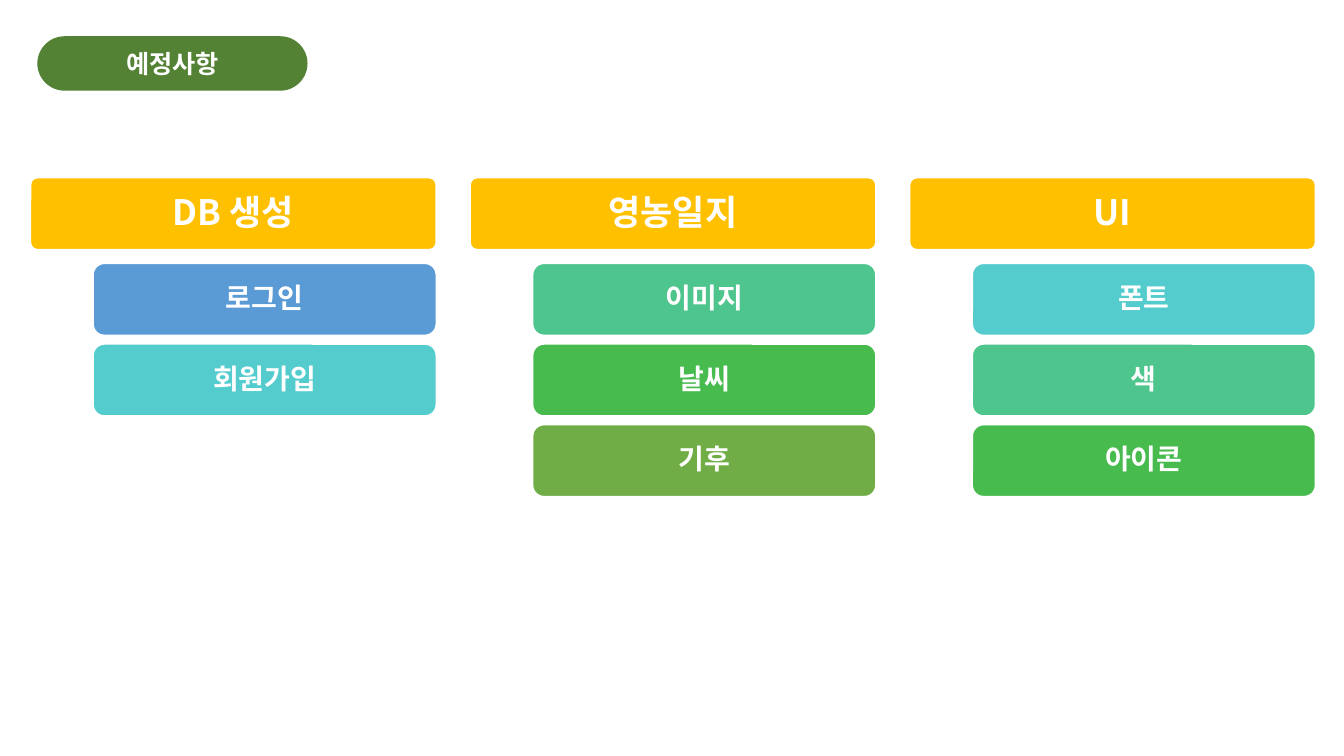
import pptx
import pptx.dml.color
import pptx.enum.shapes
import pptx.enum.text
import pptx.oxml
import pptx.oxml.ns
import pptx.util

SLIDE_WIDTH, SLIDE_HEIGHT = 13.33, 7.5
FONT = "Noto Sans CJK KR"
COLORS = {
    "white": "FFFFFF", "forest": "548235", "gold": "FFC000", "blue": "5B9BD5",
    "aqua": "54CCCD", "mint": "4DC58D", "green": "48BB4F", "olive": "70AD47",
}

COLUMN_LEFT, COLUMN_STEP, COLUMN_WIDTH = 0.3, 4.36, 4.03
TASK_INDENT = 0.62
HEADER_TOP, TASK_TOP, TASK_STEP, ROW_HEIGHT = 1.76, 2.61, 0.8, 0.72
TITLE_BOX = (0.37, 0.36, 2.68, 0.54)

HEADER = {"size": 25, "corner": 0.1, "margins": (0.07, 0.05), "line_spacing": 0.9}
TASK = {"size": 20, "corner": 0.16, "margins": (0.19, 0.19), "line_spacing": 0.9}
TITLE = {"size": 18, "margins": (0.1, 0.05), "line_spacing": 1.0}

PLANS = [
    ("DB 생성", [("로그인", "blue"), ("회원가입", "aqua")]),
    ("영농일지", [("이미지", "mint"), ("날씨", "green"), ("기후", "olive")]),
    ("UI", [("폰트", "aqua"), ("색", "mint"), ("아이콘", "green")]),
]


def rgb(color):
    return pptx.dml.color.RGBColor.from_string(COLORS[color])


def apply(target, values):
    for name, value in values.items():
        setattr(target, name, value)


def write_label(holder, text, style):
    """Centre bold white text, with the font set for Latin and Korean."""
    frame = holder.text_frame
    frame.text = text
    side, edge = (pptx.util.Inches(margin) for margin in style["margins"])
    apply(frame, {
        "margin_left": side, "margin_right": side,
        "margin_top": edge, "margin_bottom": edge,
        "word_wrap": True,
        "auto_size": pptx.enum.text.MSO_AUTO_SIZE.NONE,
        "vertical_anchor": pptx.enum.text.MSO_ANCHOR.MIDDLE,
    })
    paragraph = frame.paragraphs[0]
    apply(paragraph, {
        "alignment": pptx.enum.text.PP_ALIGN.CENTER,
        "line_spacing": style["line_spacing"],
    })
    font = paragraph.runs[0].font
    apply(font, {"name": FONT, "size": pptx.util.Pt(style["size"]), "bold": True})
    font.color.rgb = rgb("white")
    latin = paragraph.runs[0]._r.rPr.find(pptx.oxml.ns.qn("a:latin"))
    latin.addnext(pptx.oxml.parse_xml(
        f'<a:ea {pptx.oxml.ns.nsdecls("a")} typeface="{FONT}"/>'))


def add_rounded(slide, box, color, corner):
    shape = slide.shapes.add_shape(
        pptx.enum.shapes.MSO_SHAPE.ROUNDED_RECTANGLE, *map(pptx.util.Inches, box))
    shape.adjustments[0] = corner
    shape.shadow.inherit = False
    shape.fill.solid()
    shape.fill.fore_color.rgb = rgb(color)
    shape.line.fill.background()
    return shape


def add_card(slide, box, text, color, style):
    card = add_rounded(slide, box, color, style["corner"])
    card.line.color.rgb = rgb("white")
    card.line.width = pptx.util.Pt(1.5)
    write_label(card, text, style)


def add_title(slide, text):
    """Lay the title over a pill."""
    add_rounded(slide, TITLE_BOX, "forest", 0.5)
    title = slide.shapes.title
    lengths = map(pptx.util.Inches, TITLE_BOX)
    apply(title, dict(zip(("left", "top", "width", "height"), lengths)))
    write_label(title, text, TITLE)
    slide.shapes._spTree.append(title._element)


def add_plan(slide, column, heading, tasks):
    left = COLUMN_LEFT + column * COLUMN_STEP
    add_card(slide, (left, HEADER_TOP, COLUMN_WIDTH, ROW_HEIGHT), heading, "gold", HEADER)
    for row, (task, color) in enumerate(tasks):
        box = (left + TASK_INDENT, TASK_TOP + row * TASK_STEP,
               COLUMN_WIDTH - TASK_INDENT, ROW_HEIGHT)
        add_card(slide, box, task, color, TASK)


def main():
    deck = pptx.Presentation()
    deck.slide_width = pptx.util.Inches(SLIDE_WIDTH)
    deck.slide_height = pptx.util.Inches(SLIDE_HEIGHT)
    slide = deck.slides.add_slide(deck.slide_layouts.get_by_name("Title Only"))
    add_title(slide, "예정사항")
    for column, (heading, tasks) in enumerate(PLANS):
        add_plan(slide, column, heading, tasks)
    deck.save("out.pptx")


if __name__ == "__main__":
    main()
